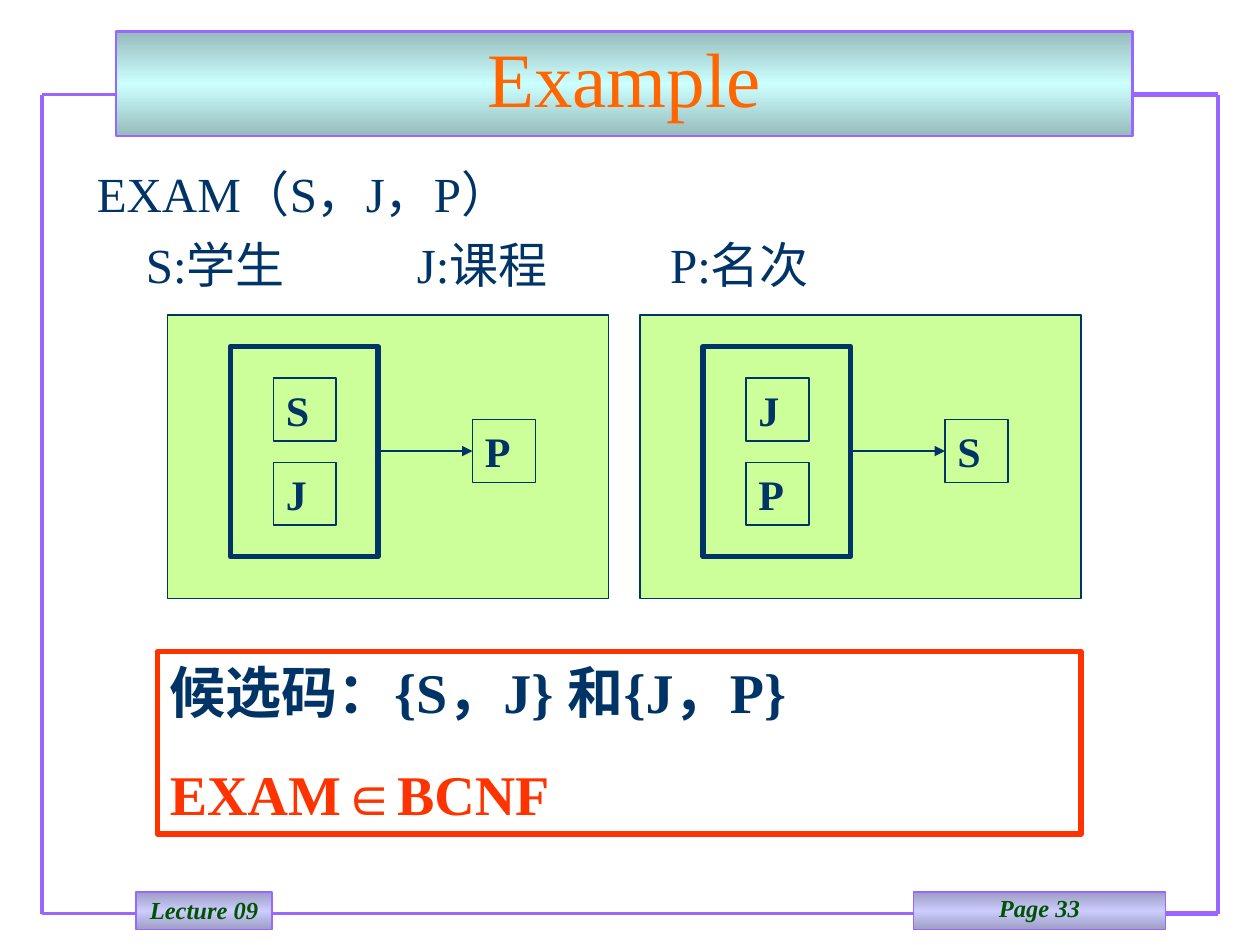
import copy

import pptx
import pptx.dml.color
import pptx.enum.shapes
import pptx.enum.text
import pptx.oxml.ns
import pptx.oxml.xmlchemy
import pptx.util

Inches, Pt = pptx.util.Inches, pptx.util.Pt
qn = pptx.oxml.ns.qn
new_element = pptx.oxml.xmlchemy.OxmlElement
RGB = pptx.dml.color.RGBColor.from_string
ALIGN = pptx.enum.text.PP_ALIGN
ANCHOR = pptx.enum.text.MSO_ANCHOR
RECTANGLE = pptx.enum.shapes.MSO_SHAPE.RECTANGLE
STRAIGHT = pptx.enum.shapes.MSO_CONNECTOR.STRAIGHT

COLORS = {
    "frame": "9966FF", "navy": "003366", "orange": "FF6600", "red": "FF3300",
    "green": "005400", "panel": "CCFF99",
    "teal edge": "96BBBB", "teal": "CCFFFF",
    "violet edge": "9C9CC3", "violet": "CCCCFF",
}


def add_box(shapes, place, line, width, fill=None, lines=(), size=24,
            color="navy", bold=True, italic=False, align=ALIGN.LEFT):
    """Add a rectangle; a pair of fill names makes a mirrored gradient."""
    box = shapes.add_shape(RECTANGLE, *[Inches(value) for value in place])
    box.shadow.inherit = False
    box.line.color.rgb = RGB(COLORS[line])
    box.line.width = Pt(width)
    if fill is None:
        box.fill.background()
    elif isinstance(fill, str):
        box.fill.solid()
        box.fill.fore_color.rgb = RGB(COLORS[fill])
    else:
        edge, middle = fill
        box.fill.gradient()
        box.fill.gradient_angle = 90
        stop_list = box._element.spPr.find(qn("a:gradFill")).find(qn("a:gsLst"))
        stop_list.append(copy.deepcopy(stop_list[-1]))
        for stop, name, position in zip(box.fill.gradient_stops,
                                        (edge, middle, edge), (0, 0.5, 1)):
            stop.color.rgb = RGB(COLORS[name])
            stop.position = position
    frame = box.text_frame
    frame.word_wrap = True
    frame.vertical_anchor = ANCHOR.TOP
    frame.text = "\n".join(lines)
    for para in frame.paragraphs:
        para.alignment = align
        for span in para.runs:
            span.font.name = "Times New Roman"
            span.font.size = Pt(size)
            span.font.bold = bold
            span.font.italic = italic
            span.font.color.rgb = RGB(COLORS[color])
    return box


def add_line(shapes, start, end, color, width):
    line = shapes.add_connector(
        STRAIGHT, *[Inches(value) for value in (*start, *end)])
    line.line.color.rgb = RGB(COLORS[color])
    line.line.width = Pt(width)
    line._element.spPr.append(new_element("a:effectLst"))
    return line


deck = pptx.Presentation()
deck.slide_width, deck.slide_height = Inches(10), Inches(7.5)
page = deck.slides.add_slide(deck.slide_layouts[6])

# Frame around the page
for start, end, width in [
    ((0.92, 0.75), (0.33, 0.75), 2.25),
    ((0.33, 0.75), (0.33, 7.25), 2.25),
    ((0.33, 7.25), (1.08, 7.25), 2.25),
    ((9, 0.75), (9.67, 0.75), 3),
    ((9.67, 0.75), (9.67, 7.25), 2.25),
    ((9.25, 7.25), (9.67, 7.25), 3),
    ((2.17, 7.25), (7.25, 7.25), 2.25),
]:
    add_line(page.shapes, start, end, "frame", width)

# Footer labels
for left, width, label, spacing in [(1.08, 1.08, "Lecture 09", 0.9),
                                    (7.25, 2, "Page 33", 0.8)]:
    footer = add_box(page.shapes, (left, 7.08, width, 0.3), "frame", 0.75,
                     ("violet edge", "violet"), [label], 14, "green",
                     italic=True, align=ALIGN.CENTER)
    footer.text_frame.paragraphs[0].line_spacing = spacing

# Title
title = add_box(page.shapes, (0.92, 0.25, 8.07, 0.83), "frame", 1.5,
                ("teal edge", "teal"), ["Example"], 44, "orange",
                bold=False, align=ALIGN.CENTER)
title.text_frame.vertical_anchor = ANCHOR.MIDDLE
title.text_frame.paragraphs[0].line_spacing = 0.85

# Relation and its attributes, the latter set on tab stops
body = page.shapes.add_textbox(Inches(0.67), Inches(1.25), Inches(8.7), Inches(1.2))
body.text_frame.word_wrap = True
body.text_frame.text = "EXAM（S，J，P）\n\tS:学生\tJ:课程\tP:名次"
attributes = body.text_frame.paragraphs[1]
attributes.space_before = Pt(7)
tabs = new_element("a:tabLst")
for position in (0.39, 2.54, 4.55):
    tab = new_element("a:tab")
    tab.set("pos", str(Inches(position)))
    tab.set("algn", "l")
    tabs.append(tab)
attributes._p.get_or_add_pPr().append(tabs)
for para in body.text_frame.paragraphs:
    for span in para.runs:
        span.font.name = "Times New Roman"
        span.font.size = Pt(28)
        span.font.color.rgb = RGB(COLORS["navy"])

# Dependency diagrams: two attributes determine the third
for left, (first, second, result) in [(1.33, "SJP"), (5.08, "JPS")]:
    diagram = page.shapes.add_group_shape().shapes
    add_box(diagram, (left, 2.5, 3.5, 2.25), "navy", 1, "panel")
    for offset, top, letter in [(0.84, 3, first), (0.84, 3.67, second),
                                (2.42, 3.33, result)]:
        add_box(diagram, (left + offset, top, 0.5, 0.5), "navy", 1, lines=[letter])
    add_box(diagram, (left + 0.5, 2.75, 1.17, 1.67), "navy", 3)
    arrow = add_line(diagram, (left + 1.67, 3.58), (left + 2.42, 3.58), "navy", 1)
    head = new_element("a:tailEnd")
    head.set("type", "triangle")
    arrow.line._get_or_add_ln().append(head)

# Conclusion
conclusion = add_box(page.shapes, (1.25, 5.17, 7.33, 1.45), "red", 3,
                     lines=["候选码：{S，J} 和{J，P}", "EXAM∈BCNF"], size=32)
verdict = conclusion.text_frame.paragraphs[1]
verdict.space_before = Pt(20)
verdict.runs[0].font.color.rgb = RGB(COLORS["red"])

deck.save("out.pptx")
